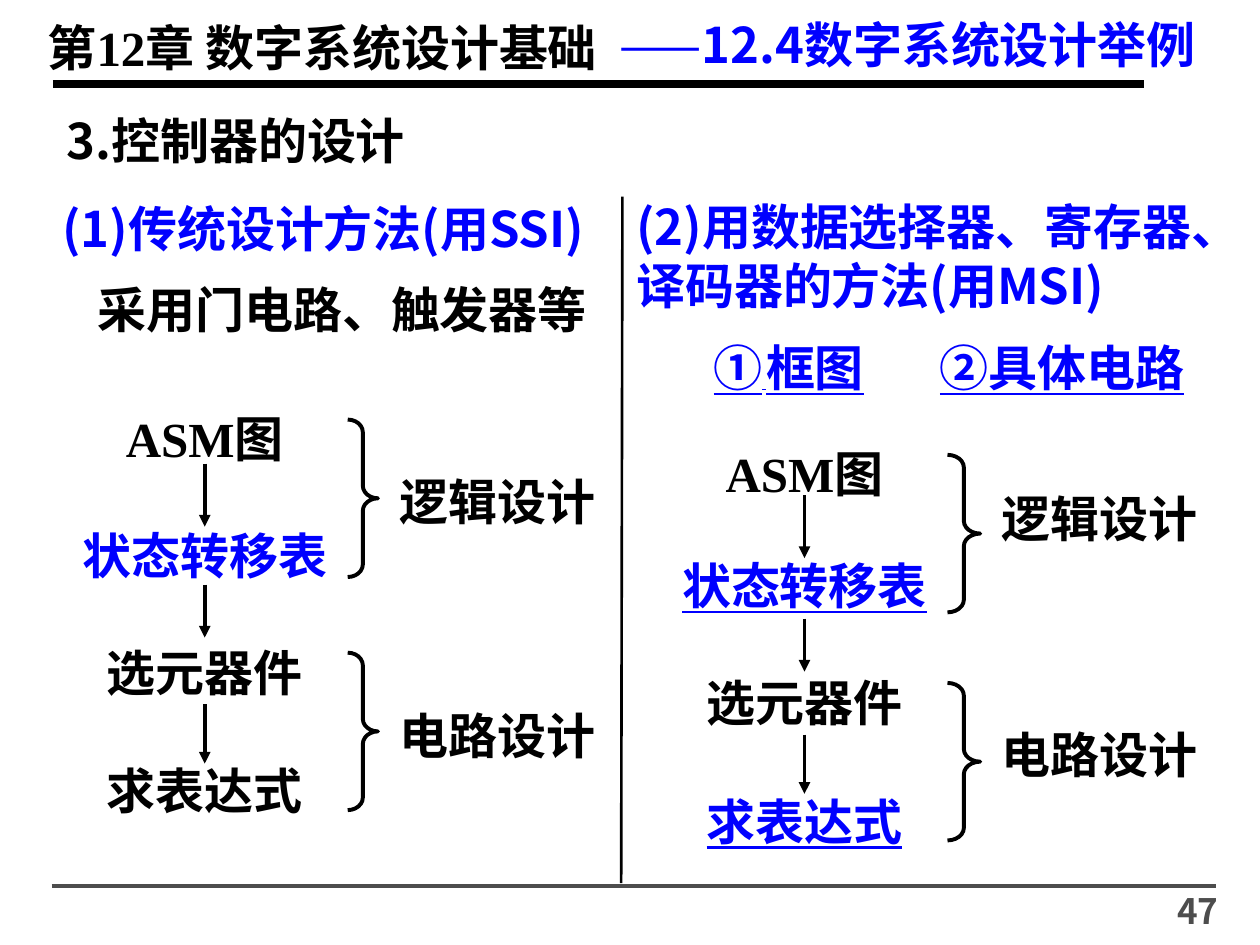
from dataclasses import dataclass

from pptx import Presentation
from pptx.dml.color import RGBColor
from pptx.enum.shapes import MSO_CONNECTOR as LINE, MSO_SHAPE as SHAPE
from pptx.enum.text import PP_ALIGN as ALIGN
from pptx.oxml.ns import qn
from pptx.util import Inches, Pt


@dataclass(frozen=True)
class Theme:
    """Colours, fonts and sizes of the slide."""
    ink: RGBColor = RGBColor(0, 0, 0)
    accent: RGBColor = RGBColor(0, 0, 255)
    muted: RGBColor = RGBColor(0x4D, 0x4D, 0x4D)
    serif: str = "Times New Roman"
    sans: str = "Noto Sans CJK SC"
    body: int = 28
    small: int = 20
    gap: int = 9
    stroke: float = 2.25


@dataclass(frozen=True)
class Flow:
    """Steps and grouping of one design method; tops are relative to its box."""
    steps: tuple
    arrows: tuple
    braces: tuple
    brace_width: float
    groups: tuple
    group_left: float


THEME = Theme()
INSET = (0.1, 0.05)
LINE_HEIGHT = 0.57
STEP_WIDTH = 2.47
BRACE_LEFT, BRACE_HEIGHT, BRACE_CURL = 2.37, 1.25, 0.1
GROUP_WIDTH = 1.85

TRADITIONAL = Flow(
    steps=(("ASM图", 0, False), ("状态转移表", 0.93, False),
           ("选元器件", 1.86, False), ("求表达式", 2.8, False)),
    arrows=((0.49, 0.99), (1.45, 1.87), (2.4, 2.87)),
    braces=(0.14, 1.99), brace_width=0.24,
    groups=(("逻辑设计", 0.5), ("电路设计", 2.36)), group_left=2.63)
MODULAR = Flow(
    steps=(("ASM图", 0, False), ("状态转移表", 0.89, True),
           ("选元器件", 1.82, False), ("求表达式", 2.76, True)),
    arrows=((0.46, 0.96), (1.44, 1.86), (2.36, 2.83)),
    braces=(0.14, 1.95), brace_width=0.26,
    groups=(("逻辑设计", 0.36), ("电路设计", 2.23)), group_left=2.65)


def add_text(slide, box, *runs, align=ALIGN.LEFT, inset=INSET, **style):
    """Place one paragraph; each run is a string or a (string, style) pair."""
    frame = slide.shapes.add_textbox(*map(Inches, box)).text_frame
    frame.word_wrap = True
    frame.margin_left = frame.margin_right = Inches(inset[0])
    frame.margin_top = frame.margin_bottom = Inches(inset[1])
    paragraph = frame.paragraphs[0]
    paragraph.alignment = align
    for item in runs:
        words, own = (item, {}) if isinstance(item, str) else item
        run = paragraph.add_run()
        run.text = words
        format_run(run.font, **{**style, **own})


def format_run(font, color=THEME.ink, face=THEME.serif, size=THEME.body,
               bold=True, underline=None):
    """Set the look of a run, with the sans face for Chinese characters."""
    font.size, font.bold, font.underline = Pt(size), bold, underline
    font.color.rgb = color
    font.name = face
    east_asian = font._element.makeelement(qn("a:ea"), {"typeface": THEME.sans})
    font._element.find(qn("a:latin")).addnext(east_asian)


def add_line(slide, start, end, width, color=THEME.ink, arrow=False):
    """Draw a straight line, with an arrowhead at its end if asked."""
    line = slide.shapes.add_connector(LINE.STRAIGHT, *map(Inches, start + end))
    line.line.color.rgb = color
    line.line.width = Pt(width)
    if arrow:
        outline = line.line._get_or_add_ln()
        outline.append(outline.makeelement(qn("a:tailEnd"), {"type": "triangle"}))
    properties = line._element.spPr
    properties.append(properties.makeelement(qn("a:effectLst"), {}))


def add_brace(slide, left, top, width):
    """Draw a right brace around two steps."""
    brace = slide.shapes.add_shape(
        SHAPE.RIGHT_BRACE, *map(Inches, (left, top, width, BRACE_HEIGHT)))
    brace.adjustments[0] = BRACE_CURL / width
    brace.shadow.inherit = False
    brace.fill.background()
    brace.line.color.rgb = THEME.ink
    brace.line.width = Pt(THEME.stroke)


def add_header(slide, left, top):
    """Place the chapter, the section and the rule below them."""
    add_text(slide, (left, top, 6.24, LINE_HEIGHT), "第12章 数字系统设计基础")
    add_text(slide, (left + 4.54, top - 0.02, 5.02, LINE_HEIGHT),
             ("——", {"bold": False}), "12.4数字系统设计举例",
             color=THEME.accent, face=THEME.sans)
    add_line(slide, (left + 0.14, top + 0.58), (left + 8.8, top + 0.58), 4.5)


def add_footer(slide, left, top, width):
    """Place the bottom rule and the page number."""
    add_line(slide, (left, top), (left + width, top), 2, THEME.muted)
    add_text(slide, (left + width - 1.27, top - 0.02, 1.39, 0.39), "47",
             align=ALIGN.RIGHT, color=THEME.muted, face=THEME.sans,
             size=THEME.small)


def add_flow(slide, left, top, flow):
    """Place the steps, arrows, braces and group names of a method."""
    for words, offset, linked in flow.steps:
        accented = linked or words == "状态转移表"
        add_text(slide, (left, top + offset, STEP_WIDTH, LINE_HEIGHT), words,
                 align=ALIGN.CENTER, underline=linked or None,
                 color=THEME.accent if accented else THEME.ink)
    middle = left + STEP_WIDTH / 2
    for start, end in flow.arrows:
        add_line(slide, (middle, top + start), (middle, top + end),
                 THEME.stroke, arrow=True)
    for offset in flow.braces:
        add_brace(slide, left + BRACE_LEFT, top + offset, flow.brace_width)
    for words, offset in flow.groups:
        add_text(slide, (left + flow.group_left, top + offset, GROUP_WIDTH,
                         LINE_HEIGHT), words, align=ALIGN.CENTER)


def add_traditional(slide, left, top):
    """Place the left column: design with SSI parts."""
    add_text(slide, (left, top, 4.75, LINE_HEIGHT), "(1)传统设计方法(用SSI)",
             align=ALIGN.CENTER, color=THEME.accent, face=THEME.sans)
    add_text(slide, (left + 0.38, top + 0.64, 4.29, LINE_HEIGHT),
             "采用门电路、触发器等", align=ALIGN.CENTER)
    add_flow(slide, left + 0.2, top + 1.66, TRADITIONAL)


def add_modular(slide, left, top):
    """Place the right column: design with MSI parts."""
    add_text(slide, (left, top, 5.02, 0.93),
             "(2)用数据选择器、寄存器、译码器的方法(用MSI)",
             inset=(0, 0), color=THEME.accent, face=THEME.sans)
    sans = {"face": THEME.sans}
    links = ((0.39, 1.64, (("①", sans), (" ", {**sans, "size": THEME.gap}), "框图")),
             (2.29, 2.18, (("②", sans), "具体电路")))
    for offset, width, runs in links:
        add_text(slide, (left + offset, top + 1.12, width, 0.47), *runs,
                 align=ALIGN.CENTER, inset=(0, 0), color=THEME.accent,
                 underline=True)
    add_flow(slide, left + 0.1, top + 1.91, MODULAR)


def main():
    """Build and save the slide."""
    deck = Presentation()
    deck.slide_width, deck.slide_height = Inches(10), Inches(7.5)
    slide = deck.slides.add_slide(deck.slide_layouts[6])
    add_header(slide, 0.28, 0.09)
    add_text(slide, (0.43, 0.83, 3.1, LINE_HEIGHT), "3.控制器的设计",
             face=THEME.sans)
    add_traditional(slide, 0.19, 1.53)
    add_modular(slide, 5.05, 1.56)
    add_line(slide, (4.94, 1.56), (4.93, 7.01), 1.5)
    add_footer(slide, 0.41, 7.03, 9.24)
    deck.save("out.pptx")


if __name__ == "__main__":
    main()
